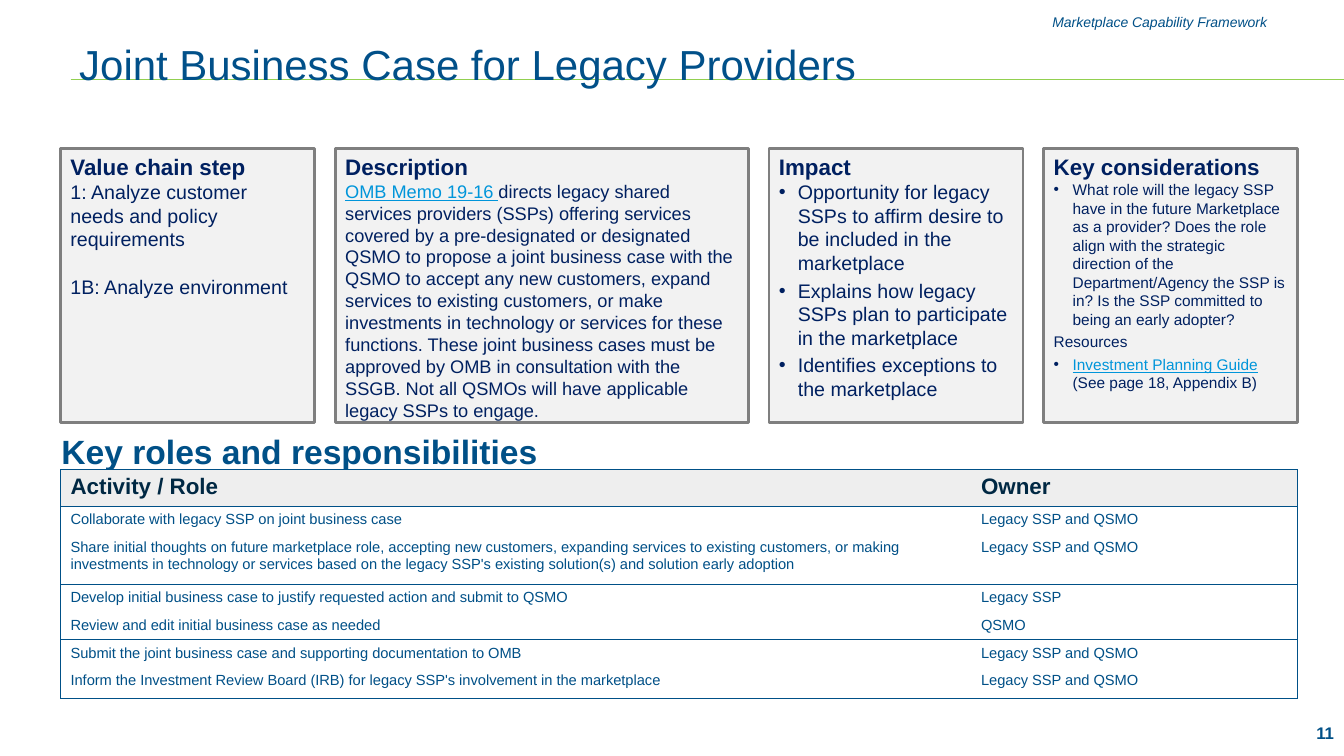
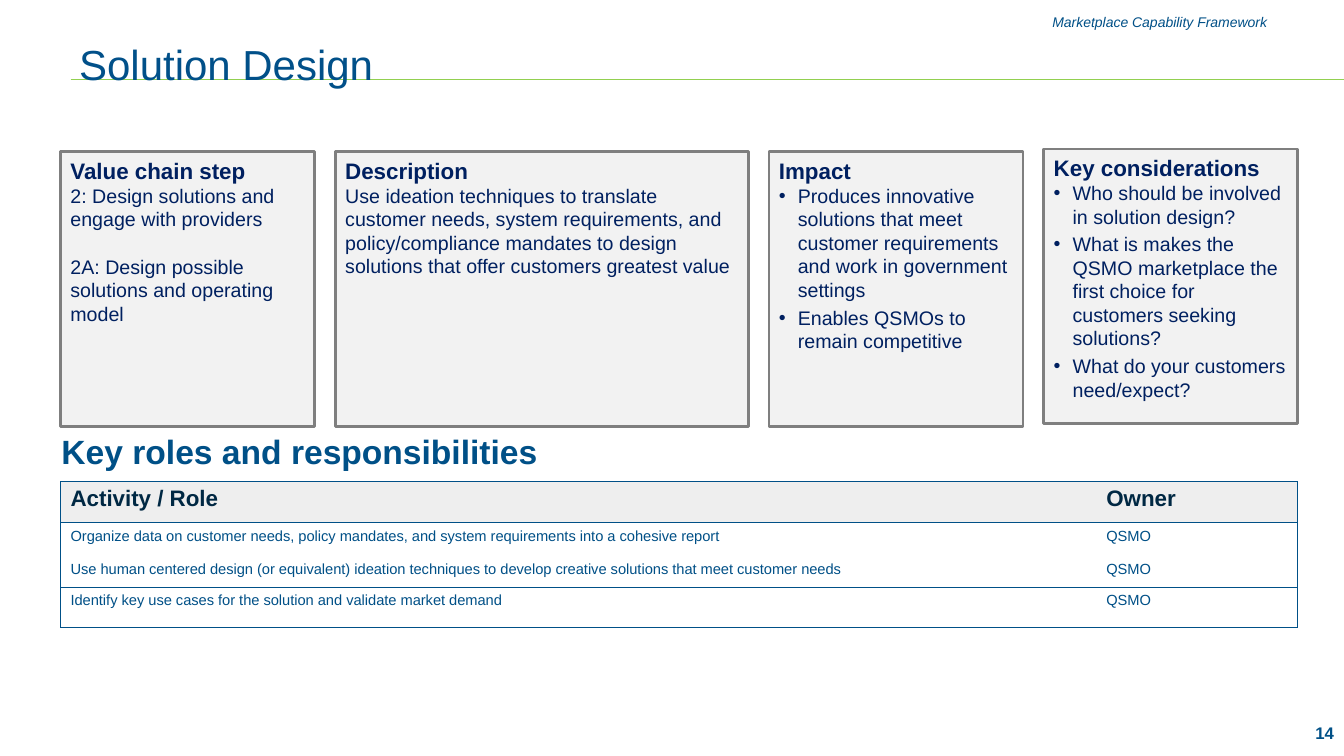
import pptx
import pptx.util
import pptx.dml.color
import pptx.enum.shapes
import pptx.enum.text
from lxml import etree
from pptx.oxml.ns import qn

Pt = pptx.util.Pt
TOP = pptx.enum.text.MSO_ANCHOR.TOP
MIDDLE = pptx.enum.text.MSO_ANCHOR.MIDDLE
BOTTOM = pptx.enum.text.MSO_ANCHOR.BOTTOM
LEFT = pptx.enum.text.PP_ALIGN.LEFT
RIGHT = pptx.enum.text.PP_ALIGN.RIGHT

FONT = "Arial"
BLUE, TITLE_BLUE, NAVY, LINK = "005087", "015089", "002060", "0095DA"
HEAD_TEXT, HEAD_FILL = "002843", "EEEEEE"
CARD_FILL, CARD_LINE, GREEN = "F2F2F2", "7F7F7F", "92D050"

MARGIN = 43.2
CARD_HEIGHT, CARD_GAP = 196, 14.8
CARD_WIDTHS = [181.5, 295, 181.5, 181.5]
CARD_HEADINGS = ["Value chain step", "Description", "Impact", "Key considerations"]
TABLE_WIDTH = sum(CARD_WIDTHS) + 3 * CARD_GAP

# Each card paragraph: size, space before, bulleted, runs of (text, colour)
SLIDES = [
    {
        "title": "Joint Business Case for Legacy Providers",
        "number": "11",
        "card_tops": [106, 106, 106, 106],
        "section_top": 304,
        "cards": [
            [(14, 0, False, [("1: Analyze customer needs and policy requirements", NAVY)]),
             (14, 17, False, [("1B: Analyze environment", NAVY)])],
            [(13, 0, False, [
                ("OMB Memo 19-16 ", LINK),
                ("directs legacy shared services providers (SSPs) offering services covered by a "
                 "pre-designated or designated QSMO to propose a joint business case with the QSMO "
                 "to accept any new customers, expand services to existing customers, or make "
                 "investments in technology or services for these functions. These joint business "
                 "cases must be approved by OMB in consultation with the SSGB. Not all QSMOs will "
                 "have applicable legacy SSPs to engage.", NAVY)])],
            [(14, 0, True, [("Opportunity for legacy SSPs to affirm desire to be included in "
                             "the marketplace", NAVY)]),
             (14, 3, True, [("Explains how legacy SSPs plan to participate in the marketplace", NAVY)]),
             (14, 3, True, [("Identifies exceptions to the marketplace", NAVY)])],
            [(11, 0, True, [("What role will the legacy SSP have in the future Marketplace as a "
                             "provider? Does the role align with the strategic direction of the "
                             "Department/Agency the SSP is in? Is the SSP committed to being an "
                             "early adopter?", NAVY)]),
             (11, 3, False, [("Resources", NAVY)]),
             (11, 3, True, [("Investment Planning Guide ", LINK),
                            ("(See page 18, Appendix B)", NAVY)])],
        ],
        "table_top": 335.5,
        "owner_width": 233.5,
        "row_heights": [26, 19.5, 35.5, 20, 19.5, 19.5, 22],
        "roles": [
            ("Collaborate with legacy SSP on joint business case", "Legacy SSP and QSMO"),
            ("Share initial thoughts on future marketplace role, accepting new customers, expanding "
             "services to existing customers, or making investments in technology or services based "
             "on the legacy SSP's existing solution(s) and solution early adoption",
             "Legacy SSP and QSMO"),
            ("Develop initial business case to justify requested action and submit to QSMO",
             "Legacy SSP"),
            ("Review and edit initial business case as needed", "QSMO"),
            ("Submit the joint business case and supporting documentation to OMB",
             "Legacy SSP and QSMO"),
            ("Inform the Investment Review Board (IRB) for legacy SSP's involvement in the "
             "marketplace", "Legacy SSP and QSMO"),
        ],
    },
    {
        "title": "Solution Design",
        "number": "14",
        "card_tops": [108.5, 108.5, 108.5, 106.5],
        "section_top": 304.5,
        "cards": [
            [(14, 0, False, [("2: Design solutions and engage with providers", NAVY)]),
             (14, 17, False, [("2A: Design possible solutions and operating model", NAVY)])],
            [(14, 0, False, [("Use ideation techniques to translate customer needs, system "
                              "requirements, and policy/compliance mandates to design solutions "
                              "that offer customers greatest value", NAVY)])],
            [(14, 0, True, [("Produces innovative solutions that meet customer requirements and "
                             "work in government settings", NAVY)]),
             (14, 3, True, [("Enables QSMOs to remain competitive", NAVY)])],
            [(14, 0, True, [("Who should be involved in solution design?", NAVY)]),
             (14, 3, True, [("What is makes the QSMO marketplace the first choice for customers "
                             "seeking solutions?", NAVY)]),
             (14, 3, True, [("What do your customers need/expect?", NAVY)])],
        ],
        "table_top": 344,
        "owner_width": 144,
        "row_heights": [29.5, 23.5, 22.5, 29],
        "roles": [
            ("Organize data on customer needs, policy mandates, and system requirements into a "
             "cohesive report", "QSMO"),
            ("Use human centered design (or equivalent) ideation techniques to develop creative "
             "solutions that meet customer needs", "QSMO"),
            ("Identify key use cases for the solution and validate market demand", "QSMO"),
        ],
    },
]


def colour(code):
    return pptx.dml.color.RGBColor.from_string(code)


def add_span(para, text, size, code, bold=False, italic=False):
    """Add one run; text in the link colour is underlined."""
    span = para.add_run()
    span.text = text
    span.font.name = FONT
    span.font.size = Pt(size)
    span.font.bold = bold
    span.font.italic = italic
    span.font.underline = code == LINK
    span.font.color.rgb = colour(code)


deck = pptx.Presentation()
deck.slide_width, deck.slide_height = Pt(960), Pt(540)

for content in SLIDES:
    page = deck.slides.add_slide(deck.slide_layouts[6])

    rule = page.shapes.add_connector(
        pptx.enum.shapes.MSO_CONNECTOR.STRAIGHT, Pt(50.5), Pt(57), Pt(960), Pt(57))
    rule.line.color.rgb = colour(GREEN)
    rule.line.width = Pt(0.75)
    etree.SubElement(rule._element.spPr, qn("a:effectLst"))

    labels = [
        ((636, 6, 276, 20), MIDDLE, RIGHT, "Marketplace Capability Framework", 10, BLUE, False, True),
        ((49.5, 11.5, 861, 68), MIDDLE, LEFT, content["title"], 30, TITLE_BLUE, False, False),
        ((36.8, content["section_top"], 356, 36), TOP, LEFT,
         "Key roles and responsibilities", 24, BLUE, True, False),
        ((902.5, 496, 57.5, 38), BOTTOM, RIGHT, content["number"], 12, BLUE, True, False),
    ]
    for place, anchor, align, text, size, code, bold, italic in labels:
        box = page.shapes.add_textbox(*map(Pt, place))
        box.text_frame.word_wrap = True
        box.text_frame.vertical_anchor = anchor
        para = box.text_frame.paragraphs[0]
        para.alignment = align
        add_span(para, text, size, code, bold, italic)

    left = MARGIN
    for width, top, heading, body in zip(
            CARD_WIDTHS, content["card_tops"], CARD_HEADINGS, content["cards"]):
        card = page.shapes.add_shape(
            pptx.enum.shapes.MSO_SHAPE.RECTANGLE, Pt(left), Pt(top), Pt(width), Pt(CARD_HEIGHT))
        card.shadow.inherit = False
        card.fill.solid()
        card.fill.fore_color.rgb = colour(CARD_FILL)
        card.line.color.rgb = colour(CARD_LINE)
        card.line.width = Pt(2)
        frame = card.text_frame
        frame.word_wrap = True
        frame.vertical_anchor = TOP
        frame.paragraphs[0].alignment = LEFT
        add_span(frame.paragraphs[0], heading, 16, NAVY, bold=True)
        for size, space, bulleted, runs in body:
            para = frame.add_paragraph()
            para.alignment = LEFT
            para.space_before = Pt(space)
            if bulleted:
                props = para._p.get_or_add_pPr()
                props.set("marL", str(Pt(13.5)))
                props.set("indent", str(-Pt(13.5)))
                tint = etree.SubElement(props, qn("a:buClr"))
                etree.SubElement(tint, qn("a:srgbClr"), val=NAVY)
                etree.SubElement(props, qn("a:buFont"), typeface=FONT)
                etree.SubElement(props, qn("a:buChar"), char="•")
            for text, code in runs:
                add_span(para, text, size, code)
        left += width + CARD_GAP

    rows = [("Activity / Role", "Owner")] + content["roles"]
    heights = content["row_heights"]
    table = page.shapes.add_table(
        len(rows), 2, Pt(MARGIN), Pt(content["table_top"]), Pt(TABLE_WIDTH), Pt(sum(heights))).table
    table.first_row = table.horz_banding = False
    table.columns[0].width = Pt(TABLE_WIDTH - content["owner_width"])
    table.columns[1].width = Pt(content["owner_width"])
    for r, (texts, height) in enumerate(zip(rows, heights)):
        table.rows[r].height = Pt(height)
        for c, text in enumerate(texts):
            cell = table.cell(r, c)
            # Lines frame the table, close the header and part the roles in pairs
            sides = {
                "a:lnL": c == 0,
                "a:lnR": c == 1,
                "a:lnT": r == 0 or r % 2 == 1,
                "a:lnB": r % 2 == 0 or r == len(rows) - 1,
            }
            for tag, drawn in sides.items():
                border = etree.SubElement(
                    cell._tc.get_or_add_tcPr(), qn(tag), w=str(Pt(0.75)))
                if drawn:
                    fill = etree.SubElement(border, qn("a:solidFill"))
                    etree.SubElement(fill, qn("a:srgbClr"), val=BLUE)
                else:
                    etree.SubElement(border, qn("a:noFill"))
            para = cell.text_frame.paragraphs[0]
            if r == 0:
                cell.fill.solid()
                cell.fill.fore_color.rgb = colour(HEAD_FILL)
                add_span(para, text, 16, HEAD_TEXT, bold=True)
            else:
                cell.fill.background()
                add_span(para, text, 10.5, BLUE)

deck.save("out.pptx")
